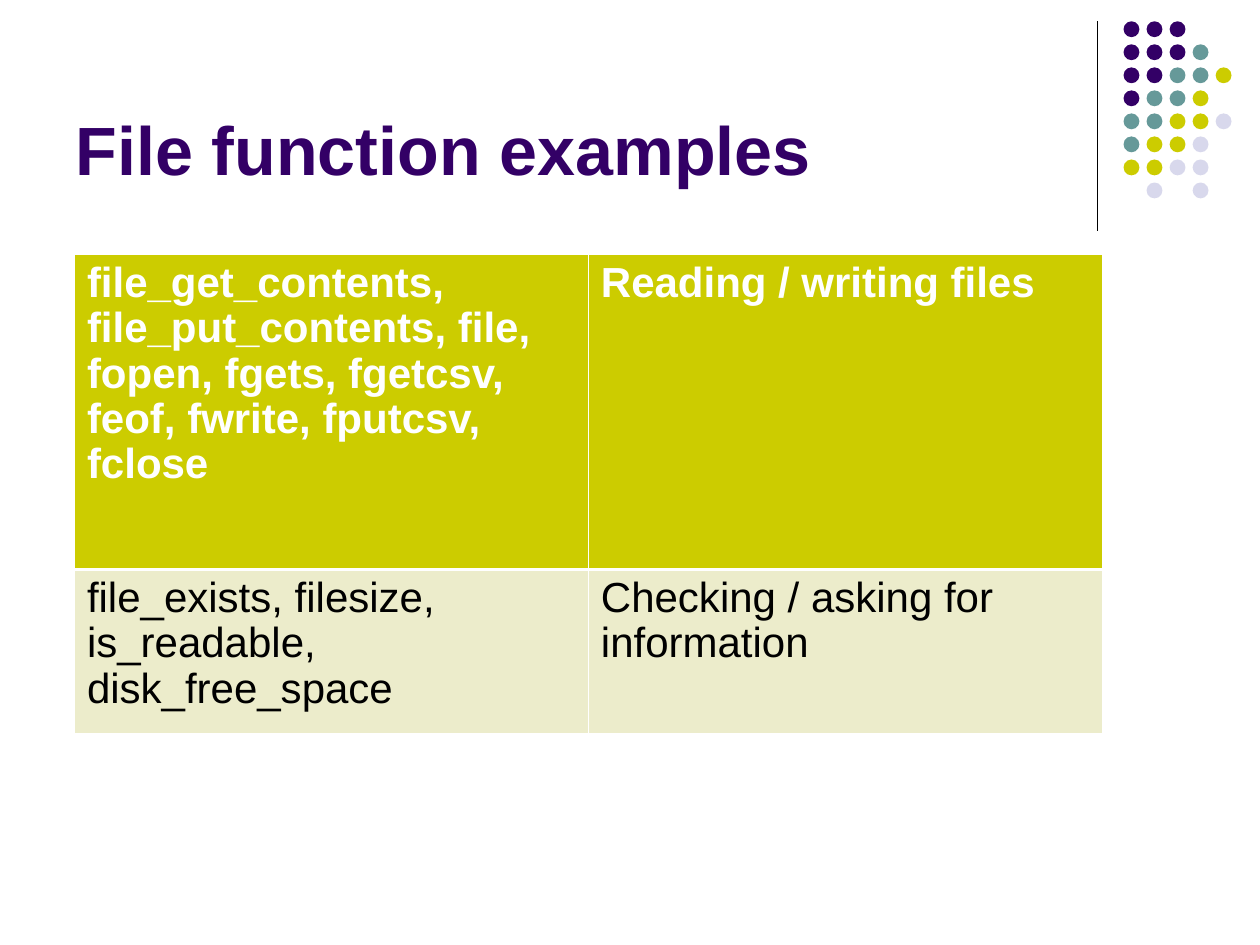
from lxml import etree
from pptx import Presentation
from pptx.dml.color import RGBColor
from pptx.enum.shapes import MSO_CONNECTOR, MSO_SHAPE
from pptx.enum.text import MSO_ANCHOR, MSO_AUTO_SIZE, PP_ALIGN
from pptx.oxml.ns import qn
from pptx.util import Cm, Pt

STRAIGHT, OVAL = MSO_CONNECTOR.STRAIGHT, MSO_SHAPE.OVAL
BOTTOM, LEFT, NO_FIT = MSO_ANCHOR.BOTTOM, PP_ALIGN.LEFT, MSO_AUTO_SIZE.NONE

PURPLE = RGBColor(0x33, 0x00, 0x66)
TEAL = RGBColor(0x66, 0x99, 0x99)
LIME = RGBColor(0xCC, 0xCC, 0x00)
LAVENDER = RGBColor(0xD8, 0xD8, 0xEC)
PALE_LIME = RGBColor(0xEC, 0xEC, 0xCB)
WHITE = RGBColor(0xFF, 0xFF, 0xFF)
BLACK = RGBColor(0x00, 0x00, 0x00)

FONT = "Arial"
HEADING = "File function examples"
FUNCTION_ROWS = [
    ("file_get_contents, file_put_contents, file, fopen, fgets, fgetcsv, "
     "feof, fwrite, fputcsv, fclose", "Reading / writing files"),
    ("file_exists, filesize, is_readable, disk_free_space",
     "Checking / asking for information"),
]
ROW_STYLES = [
    {"height": 6.35, "fill": LIME, "text": WHITE, "bold": True,
     "top": 0.45, "bottom": 1.47},
    {"height": 3.3, "fill": PALE_LIME, "text": BLACK, "bold": False,
     "top": 1.47, "bottom": 0.45},
]
COLUMN_WIDTH = 10.36

DOT_COLORS = {"P": PURPLE, "T": TEAL, "L": LIME, "V": LAVENDER}
DOT_ROWS = ["PPP", "PPPT", "PPTTL", "PTTL", "TTLLV", "TLLV", "LLVV", " V V"]
DOT_LEFT, DOT_TOP, DOT_SIZE = 22.65, 0.43, 0.32
DOT_PITCH = 3.25 / 7


def style_text(paragraph, size, color, bold):
    paragraph.alignment = LEFT
    paragraph.font.name = FONT
    paragraph.font.size = Pt(size)
    paragraph.font.bold = bold
    paragraph.font.color.rgb = color


def add_borders(cell, widths):
    properties = cell._tc.get_or_add_tcPr()
    for side, width in widths.items():
        border = etree.SubElement(properties, qn(f"a:{side}"), w=str(Pt(width)))
        fill = etree.SubElement(border, qn("a:solidFill"))
        etree.SubElement(fill, qn("a:srgbClr"), val=str(WHITE))


def add_divider(slide):
    divider = slide.shapes.add_connector(
        STRAIGHT, Cm(22.12), Cm(0.43), Cm(22.12), Cm(4.65))
    divider.line.color.rgb = BLACK
    divider.line.width = Pt(0.75)
    etree.SubElement(divider._element.spPr, qn("a:effectLst"))


def add_dots(slide):
    dots = slide.shapes.add_group_shape().shapes
    for row, codes in enumerate(DOT_ROWS):
        for column, code in enumerate(codes):
            if code not in DOT_COLORS:
                continue
            dot = dots.add_shape(
                OVAL, Cm(DOT_LEFT + column * DOT_PITCH),
                Cm(DOT_TOP + row * DOT_PITCH), Cm(DOT_SIZE), Cm(DOT_SIZE))
            dot.shadow.inherit = False
            dot.fill.solid()
            dot.fill.fore_color.rgb = DOT_COLORS[code]
            dot.line.fill.background()


def add_heading(slide):
    heading = slide.shapes.title
    heading.left, heading.top = Cm(1.27), Cm(0.33)
    heading.width, heading.height = Cm(20.96), Cm(3.61)
    frame = heading.text_frame
    frame.text = HEADING
    frame.vertical_anchor = BOTTOM
    frame.auto_size = NO_FIT
    style_text(frame.paragraphs[0], 39, PURPLE, True)


def add_function_table(slide):
    total_height = sum(style["height"] for style in ROW_STYLES)
    table = slide.shapes.add_table(
        len(FUNCTION_ROWS), 2, Cm(1.5), Cm(5.13),
        Cm(2 * COLUMN_WIDTH), Cm(total_height)).table
    for column in table.columns:
        column.width = Cm(COLUMN_WIDTH)
    for row, texts, style in zip(table.rows, FUNCTION_ROWS, ROW_STYLES):
        row.height = Cm(style["height"])
        for cell, text in zip(row.cells, texts):
            cell.text = text
            paragraph = cell.text_frame.paragraphs[0]
            paragraph.line_spacing = 0.97
            style_text(paragraph, 24, style["text"], style["bold"])
            add_borders(cell, {"lnL": 0.45, "lnR": 0.45,
                               "lnT": style["top"], "lnB": style["bottom"]})
            cell.fill.solid()
            cell.fill.fore_color.rgb = style["fill"]


def main():
    deck = Presentation()
    deck.slide_width, deck.slide_height = Cm(25.4), Cm(19.05)
    slide = deck.slides.add_slide(deck.slide_layouts[5])
    add_divider(slide)
    add_dots(slide)
    add_heading(slide)
    add_function_table(slide)
    deck.save("out.pptx")


if __name__ == "__main__":
    main()
